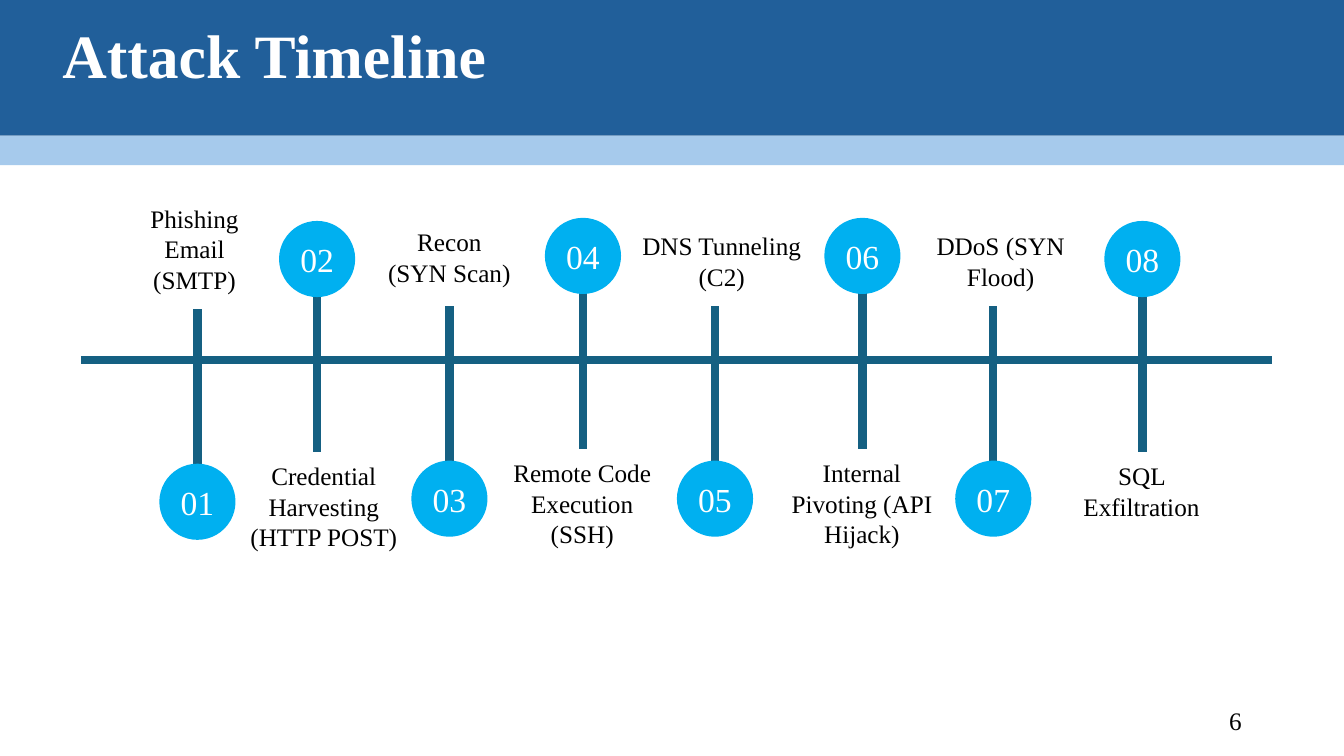
from dataclasses import dataclass

import pptx
import pptx.dml.color
import pptx.enum.shapes
import pptx.enum.text
import pptx.oxml.ns
import pptx.presentation
import pptx.shapes.autoshape
import pptx.slide
import pptx.util
from lxml import etree

Pt = pptx.util.Pt
RGBColor = pptx.dml.color.RGBColor
Align = pptx.enum.text.PP_ALIGN
Anchor = pptx.enum.text.MSO_ANCHOR
Kind = pptx.enum.shapes.MSO_SHAPE
Link = pptx.enum.shapes.MSO_CONNECTOR

NAVY = RGBColor(0x21, 0x5F, 0x9A)
PALE = RGBColor(0xA6, 0xCA, 0xEC)
TEAL = RGBColor(0x15, 0x60, 0x82)
SKY = RGBColor(0x00, 0xB0, 0xF0)
WHITE = RGBColor(0xFF, 0xFF, 0xFF)
BLACK = RGBColor(0x00, 0x00, 0x00)

FONT = "Times New Roman"
WIDE, HIGH = 960, 540
STEM = 127
DISC = 54.4
LINE = 21.8


@dataclass(frozen=True)
class Box:
    left: float
    top: float
    width: float
    height: float


@dataclass(frozen=True)
class Step:
    text: str
    x: float
    top: float
    left: float
    width: float
    y: float
    rows: int


STEPS = [
    Step("Phishing Email (SMTP)", 141, 221, 82.8, 112.3, 141.8, 3),
    Step("Credential Harvesting (HTTP POST)", 226.5, 196, 162.5, 137.5, 325.5, 3),
    Step("Recon (SYN Scan)", 321, 218.8, 270, 102, 158.4, 2),
    Step("Remote Code Execution (SSH)", 416.4, 193.8, 352.2, 127.4, 323.3, 3),
    Step("DNS Tunneling (C2)", 510.7, 218.8, 449.3, 132.5, 161.3, 2),
    Step("Internal Pivoting (API Hijack)", 616, 193.8, 552, 127.4, 323.3, 3),
    Step("DDoS (SYN Flood)", 709.5, 218.8, 648.5, 132.5, 161.3, 2),
    Step("SQL Exfiltration", 816, 196, 751.7, 127.4, 325.5, 2),
]


def write(
    shape: pptx.shapes.autoshape.Shape,
    text: str,
    size: float,
    color: RGBColor,
    align: Align,
    anchor: Anchor = Anchor.TOP,
    bold: bool = False,
) -> None:
    frame = shape.text_frame
    frame.text = text
    frame.word_wrap = True
    frame.vertical_anchor = anchor
    para = frame.paragraphs[0]
    para.alignment = align
    font = para.runs[0].font
    font.name = FONT
    font.size = Pt(size)
    font.bold = bold
    font.color.rgb = color


def add_text(slide: pptx.slide.Slide, box: Box) -> pptx.shapes.autoshape.Shape:
    return slide.shapes.add_textbox(
        Pt(box.left), Pt(box.top), Pt(box.width), Pt(box.height)
    )


def add_fill(
    slide: pptx.slide.Slide, kind: Kind, box: Box, color: RGBColor
) -> pptx.shapes.autoshape.Shape:
    shape = slide.shapes.add_shape(
        kind, Pt(box.left), Pt(box.top), Pt(box.width), Pt(box.height)
    )
    shape.shadow.inherit = False
    shape.fill.solid()
    shape.fill.fore_color.rgb = color
    shape.line.fill.background()
    return shape


def add_line(
    slide: pptx.slide.Slide, x1: float, y1: float, x2: float, y2: float
) -> None:
    line = slide.shapes.add_connector(
        Link.STRAIGHT, Pt(x1), Pt(y1), Pt(x2), Pt(y2)
    )
    line.line.width = Pt(6)
    line.line.color.rgb = TEAL
    etree.SubElement(line._element.spPr, pptx.oxml.ns.qn("a:effectLst"))


def add_step(slide: pptx.slide.Slide, step: Step, index: int) -> None:
    add_line(slide, step.x, step.top, step.x, step.top + STEM)
    top = step.top + (110.2 if index % 2 else -38.2)
    disc = add_fill(
        slide, Kind.OVAL, Box(step.x - DISC / 2, top, DISC, DISC), SKY
    )
    frame = disc.text_frame
    frame.margin_left = frame.margin_right = 0
    frame.margin_top = frame.margin_bottom = 0
    write(disc, f"{index:02d}", 24, WHITE, Align.CENTER, Anchor.MIDDLE)
    label = add_text(
        slide, Box(step.left, step.y, step.width, step.rows * LINE + 7.2)
    )
    write(label, step.text, 18, BLACK, Align.CENTER)


def build(deck: pptx.presentation.Presentation) -> None:
    slide = deck.slides.add_slide(deck.slide_layouts[6])
    add_fill(slide, Kind.RECTANGLE, Box(0, 0, WIDE, 97), NAVY)
    title = add_text(slide, Box(37.5, 14.4, 828, 75))
    write(title, "Attack Timeline", 44, WHITE, Align.LEFT, bold=True)
    title.text_frame.paragraphs[0].line_spacing = 0.9
    add_fill(slide, Kind.RECTANGLE, Box(0, 97, WIDE, 21), PALE)
    add_line(slide, 57.8, 257, 908.6, 257)
    for index, step in enumerate(STEPS, 1):
        add_step(slide, step, index)
    page = add_text(slide, Box(678, 500.5, 216, 28.8))
    write(page, "6", 18, BLACK, Align.RIGHT, Anchor.MIDDLE)


def main() -> None:
    deck = pptx.Presentation()
    deck.slide_width = Pt(WIDE)
    deck.slide_height = Pt(HIGH)
    build(deck)
    deck.save("out.pptx")


if __name__ == "__main__":
    main()
